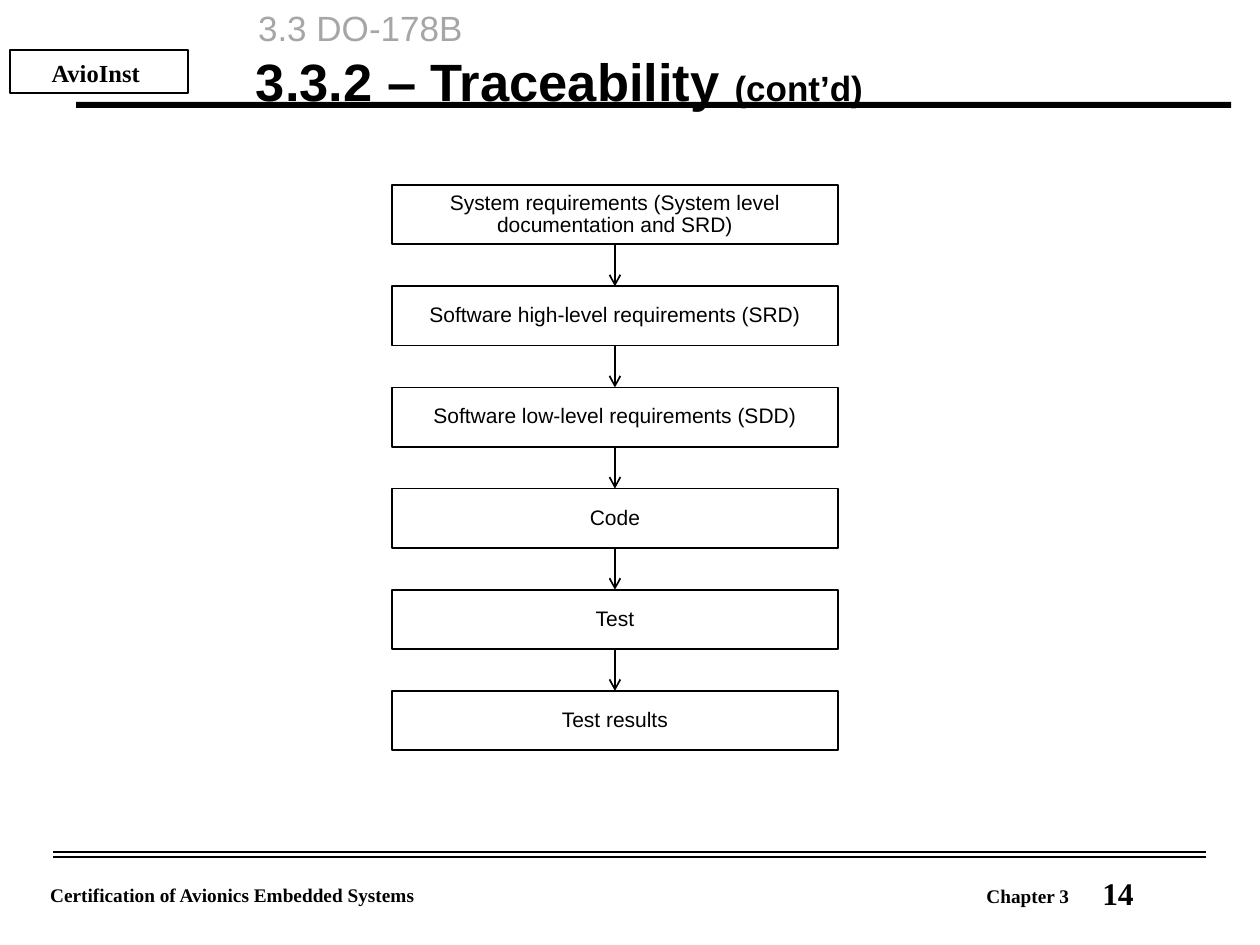
from lxml import etree
from pptx import Presentation
from pptx import util as u
from pptx.dml.color import RGBColor
from pptx.enum import shapes, text
from pptx.oxml.ns import qn

Pt = u.Pt
BLACK, WHITE, GREY = "000000", "FFFFFF", "A6A6A6"
SANS, SERIF = "Arial", "Times New Roman"
LEFT, CENTER = text.PP_ALIGN.LEFT, text.PP_ALIGN.CENTER


def color(hex_string):
    return RGBColor.from_string(hex_string)


class SlideBuilder:
    def __init__(self, slide, line_width=1):
        self.slide = slide
        self.line_width = Pt(line_width)

    def style_run(self, run, size, font=SANS, ink=BLACK, bold=False):
        run.font.size = Pt(size)
        run.font.name = font
        run.font.bold = bold
        run.font.color.rgb = color(ink)

    def fill_frame(self, frame, wording, size, align=LEFT, spacing=1.0,
                   anchor=text.MSO_ANCHOR.TOP, **style):
        frame.text = wording
        frame.word_wrap = True
        frame.vertical_anchor = anchor
        paragraph = frame.paragraphs[0]
        paragraph.alignment = align
        paragraph.line_spacing = spacing
        for run in paragraph.runs:
            self.style_run(run, size, **style)

    def title(self, heading, suffix, left, top, width, height):
        holder = self.slide.shapes.title
        holder.left, holder.top = Pt(left), Pt(top)
        holder.width, holder.height = Pt(width), Pt(height)
        frame = holder.text_frame
        self.fill_frame(frame, heading, 30, spacing=1.08, bold=True)
        frame.auto_size = text.MSO_AUTO_SIZE.NONE
        run = frame.paragraphs[0].add_run()
        run.text = suffix
        self.style_run(run, 20, bold=True)

    def label(self, wording, left, top, width, height, size, **style):
        box = self.slide.shapes.add_textbox(Pt(left), Pt(top), Pt(width), Pt(height))
        self.fill_frame(box.text_frame, wording, size, **style)

    def rectangle(self, left, top, width, height, fill=None, outline=True):
        rect = self.slide.shapes.add_shape(
            shapes.MSO_SHAPE.RECTANGLE, Pt(left), Pt(top), Pt(width), Pt(height))
        rect.shadow.inherit = False
        if fill:
            rect.fill.solid()
            rect.fill.fore_color.rgb = color(fill)
        else:
            rect.fill.background()
        if outline:
            rect.line.color.rgb = color(BLACK)
            rect.line.width = self.line_width
        else:
            rect.line.fill.background()
        return rect

    def step(self, wording, left, top, width, height):
        rect = self.rectangle(left, top, width, height)
        self.fill_frame(rect.text_frame, wording, 12, align=CENTER, spacing=0.9,
                        anchor=text.MSO_ANCHOR.MIDDLE)
        return rect

    def line(self, x1=0, y1=0, x2=0, y2=0):
        rule = self.slide.shapes.add_connector(
            shapes.MSO_CONNECTOR.STRAIGHT, Pt(x1), Pt(y1), Pt(x2), Pt(y2))
        rule.line.color.rgb = color(BLACK)
        rule.line.width = self.line_width
        etree.SubElement(rule._element.spPr, qn("a:effectLst"))
        return rule

    def arrow_down(self, upper, lower):
        arrow = self.line()
        arrow.begin_connect(upper, 2)
        arrow.end_connect(lower, 0)
        etree.SubElement(arrow.line._get_or_add_ln(), qn("a:tailEnd"), type="arrow")


def main():
    prs = Presentation()
    prs.slide_width, prs.slide_height = Pt(720), Pt(540)
    page = SlideBuilder(prs.slides.add_slide(prs.slide_layouts[5]))

    # Header
    page.rectangle(5.8, 28.8, 101.5, 24.5, fill=WHITE)
    page.label("AvioInst", -14.4, 29.5, 138.2, 23.8, 14,
               align=CENTER, font=SERIF, bold=True)
    page.label("3.3 DO-178B", 140.4, 0, 396, 31.7, 20, ink=GREY)
    page.rectangle(43.5, 58.3, 660, 3.4, fill=BLACK, outline=False)
    page.title("3.3.2 – Traceability ", "(cont’d)", 139, 21.6, 545, 90)

    # Footer
    for rule_top in (486.7, 489.6):
        page.line(30.4, rule_top, 689, rule_top)
    page.label("Certification of Avionics Embedded Systems",
               21.6, 501.1, 302.4, 20.2, 11, font=SERIF, bold=True)
    page.label("Chapter 3", 556.6, 501.8, 74.2, 20.2, 11, font=SERIF, bold=True)
    page.label("14", 622.8, 498.2, 95.8, 26.6, 18,
               spacing=0.9, font=SERIF, bold=True)

    # Traceability chain
    chain = ["System requirements (System level documentation and SRD)",
             "Software high-level requirements (SRD)",
             "Software low-level requirements (SDD)",
             "Code", "Test", "Test results"]
    first_top, pitch = 105.8, 57.8
    steps = [page.step(wording, 224, first_top + i * pitch, 254.8, 33.9)
             for i, wording in enumerate(chain)]
    for upper, lower in zip(steps, steps[1:]):
        page.arrow_down(upper, lower)

    prs.save("out.pptx")


if __name__ == "__main__":
    main()
